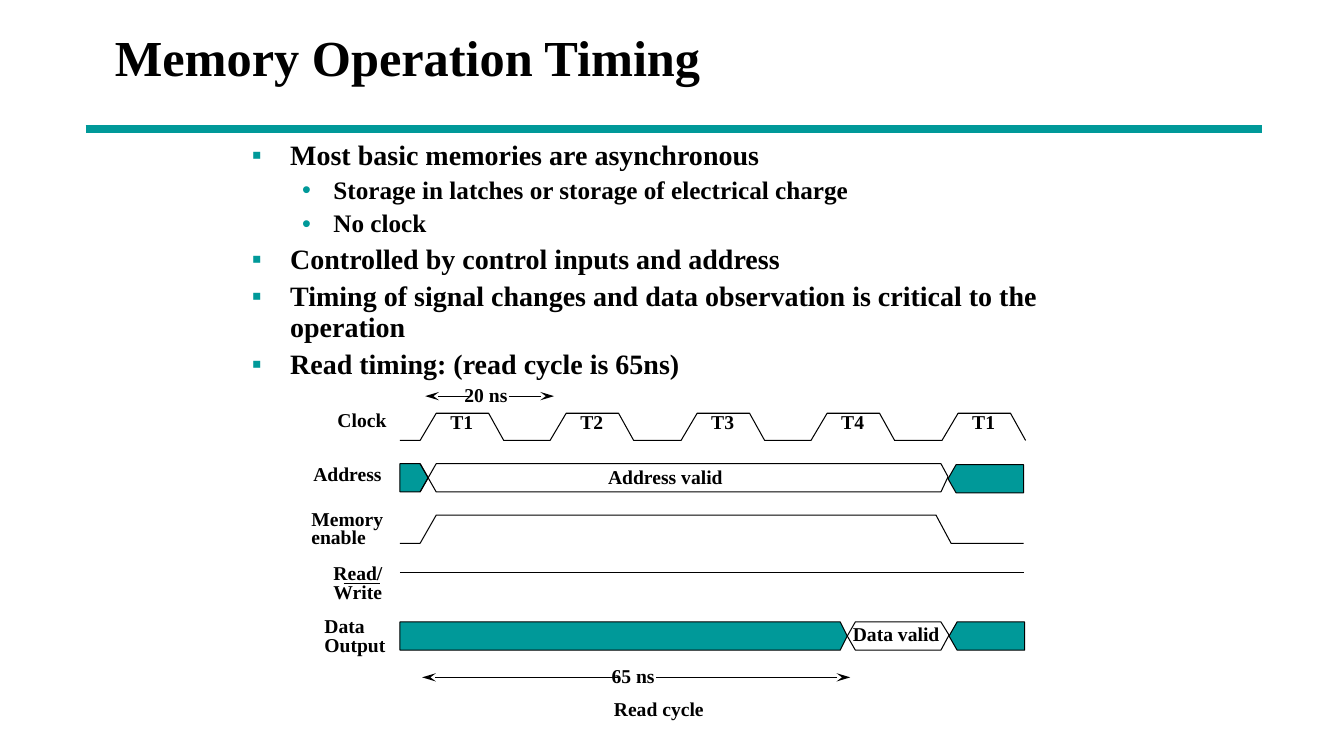
from lxml import etree
from pptx import Presentation
from pptx import util as u
from pptx.dml.color import RGBColor
from pptx.enum import shapes, text
from pptx.oxml.ns import qn

PX = 9144  # EMU per px, 100 px to the inch
FONT = "Times New Roman"
BLACK, TEAL = "000000", "009999"
LEFT, CENTER = text.PP_ALIGN.LEFT, text.PP_ALIGN.CENTER

# Bullet levels: mark, text indent px, hanging px, size, space before
LEVELS = [("▪", 38, 38, 20, 5), ("•", 81, 31, 18, 4.5)]
BULLETS = [
    (0, "Most basic memories are asynchronous"),
    (1, "Storage in latches or storage of electrical charge"),
    (1, "No clock"),
    (0, "Controlled by control inputs and address"),
    (0, "Timing of signal changes and data observation is critical to the operation"),
    (0, "Read timing: (read cycle is 65ns)"),
]
# Signal names: left, top, width, lines
SIGNALS = [
    (335, 405, 60, ["Clock"]),
    (311, 458, 80, ["Address"]),
    (309, 507, 82, ["Memory", "enable"]),
    (331, 561, 60, ["Read/", "Write"]),
    (322, 614, 70, ["Data", "Output"]),
]


def rgb(value):
    return RGBColor.from_string(value)


def place(sp, left, top, width, height):
    box = {"left": left, "top": top, "width": width, "height": height}
    for name, value in box.items():
        setattr(sp, name, value * PX)


def write(p, content, size, **formats):
    for name, value in formats.items():
        setattr(p, name, value)
    r = p.add_run()
    r.text = content
    for name, value in {"name": FONT, "size": u.Pt(size), "bold": True}.items():
        setattr(r.font, name, value)
    r.font.color.rgb = rgb(BLACK)


def add_bullet(p, mark, indent, hanging):
    pPr = p._p.get_or_add_pPr()
    pPr.set("marL", str(indent * PX))
    pPr.set("indent", str(-hanging * PX))
    color = etree.SubElement(pPr, qn("a:buClr"))
    etree.SubElement(color, qn("a:srgbClr"), val=TEAL)
    etree.SubElement(pPr, qn("a:buChar"), char=mark)


def add_label(s, left, top, width, lines, align=LEFT):
    sp = s.shapes.add_textbox(*(v * PX for v in (left, top, width, 23 if len(lines) == 1 else 37)))
    tf = sp.text_frame
    tf.word_wrap = True
    for side in ("left", "top", "right", "bottom"):
        setattr(tf, "margin_" + side, 0)
    for i, line in enumerate(lines):
        p = tf.add_paragraph() if i else tf.paragraphs[0]
        write(p, line, 14, alignment=align, line_spacing=1.0 if len(lines) == 1 else 0.8)


def add_line(s, x1, y1, x2, y2, color=BLACK, width=0.75, arrow=False):
    c = s.shapes.add_connector(shapes.MSO_CONNECTOR.STRAIGHT, *(v * PX for v in (x1, y1, x2, y2)))
    c.line.color.rgb = rgb(color)
    c.line.width = u.Pt(width)
    spPr = c._element.spPr
    if arrow:
        etree.SubElement(spPr.find(qn("a:ln")), qn("a:tailEnd"), type="stealth", w="med", len="lg")
    etree.SubElement(spPr, qn("a:effectLst"))


def add_span(s, left, right, y, gap_left, gap_right, label):
    """A time span: two outward arrows with its length between them."""
    add_line(s, gap_left, y, left, y, arrow=True)
    add_line(s, gap_right, y, right, y, arrow=True)
    add_label(s, gap_left - 6, y - 13, 49, [label])


def add_wave(s, points, fill=None, close=False):
    fb = s.shapes.build_freeform(*points[0], scale=PX)
    fb.add_line_segments(points[1:], close=close)
    sp = fb.convert_to_shape()
    sp.shadow.inherit = False
    sp.line.color.rgb = rgb(BLACK)
    sp.line.width = u.Pt(0.75)
    if fill:
        sp.fill.solid()
        sp.fill.fore_color.rgb = rgb(fill)
    else:
        sp.fill.background()


def add_invalid(s, edge, tip, shoulder, top):
    """A filled band from its flat edge to its pointed tip."""
    low = top + 28
    add_wave(s, [(edge, top), (shoulder, top), (tip, top + 14), (shoulder, low), (edge, low)], TEAL, True)


def add_text(s):
    title, body = s.shapes.title, s.placeholders[1]
    place(title, 104, 0, 1133, 112)
    title.text_frame.vertical_anchor = text.MSO_ANCHOR.MIDDLE
    write(title.text_frame.paragraphs[0], "Memory Operation Timing", 36, alignment=LEFT)

    place(body, 240, 135, 892, 517)
    tf = body.text_frame
    tf.auto_size = text.MSO_AUTO_SIZE.NONE
    for i, (level, line) in enumerate(BULLETS):
        p = tf.add_paragraph() if i else tf.paragraphs[0]
        mark, indent, hanging, size, before = LEVELS[level]
        add_bullet(p, mark, indent, hanging)
        write(p, line, size, level=level, line_spacing=0.9, space_before=u.Pt(before if i else 0))


def add_timing(s):
    for signal in SIGNALS:
        add_label(s, *signal)
    add_line(s, 341, 579, 377, 579)  # bar over Write

    # Clock
    clock = [(397, 437)]
    for i, state in enumerate(["T1", "T2", "T3", "T4", "T1"]):
        rise = 417 + i * 259 // 2
        clock += [(rise, 437), (rise + 16, 410), (rise + 68, 410), (rise + 83, 437)]
        add_label(s, rise + 30, 407, 26, [state])
    add_wave(s, clock)
    add_span(s, 422, 550, 393, 467, 505, "20 ns")

    # Address
    add_invalid(s, 397, 425, 417, 460)
    add_invalid(s, 1016, 941, 949, 461)
    add_wave(s, [(417, 488), (433, 460), (934, 460), (941, 473), (934, 488), (433, 488), (417, 460)])
    add_label(s, 593, 461, 135, ["Address valid"], CENTER)

    # Memory enable and Read/Write
    add_wave(s, [(397, 539), (417, 539), (433, 511), (929, 511), (944, 539), (1016, 539)])
    add_line(s, 397, 568, 1016, 568)

    # Data output
    add_invalid(s, 397, 841, 834, 617)
    add_invalid(s, 1017, 942, 950, 617)
    add_wave(s, [(849, 645), (934, 645), (942, 630), (934, 617), (849, 617), (841, 631)], close=True)
    add_label(s, 839, 617, 101, ["Data valid"], CENTER)

    # Read cycle
    add_span(s, 419, 844, 672, 613, 651, "65 ns")
    add_label(s, 602, 691, 104, ["Read cycle"], CENTER)


def main():
    prs = Presentation()
    prs.slide_width, prs.slide_height = 1334 * PX, 750 * PX
    s = prs.slides.add_slide(prs.slide_layouts[1])
    add_line(s, 85, 128, 1253, 128, TEAL, 6)
    add_text(s)
    add_timing(s)
    prs.save("out.pptx")


if __name__ == "__main__":
    main()
